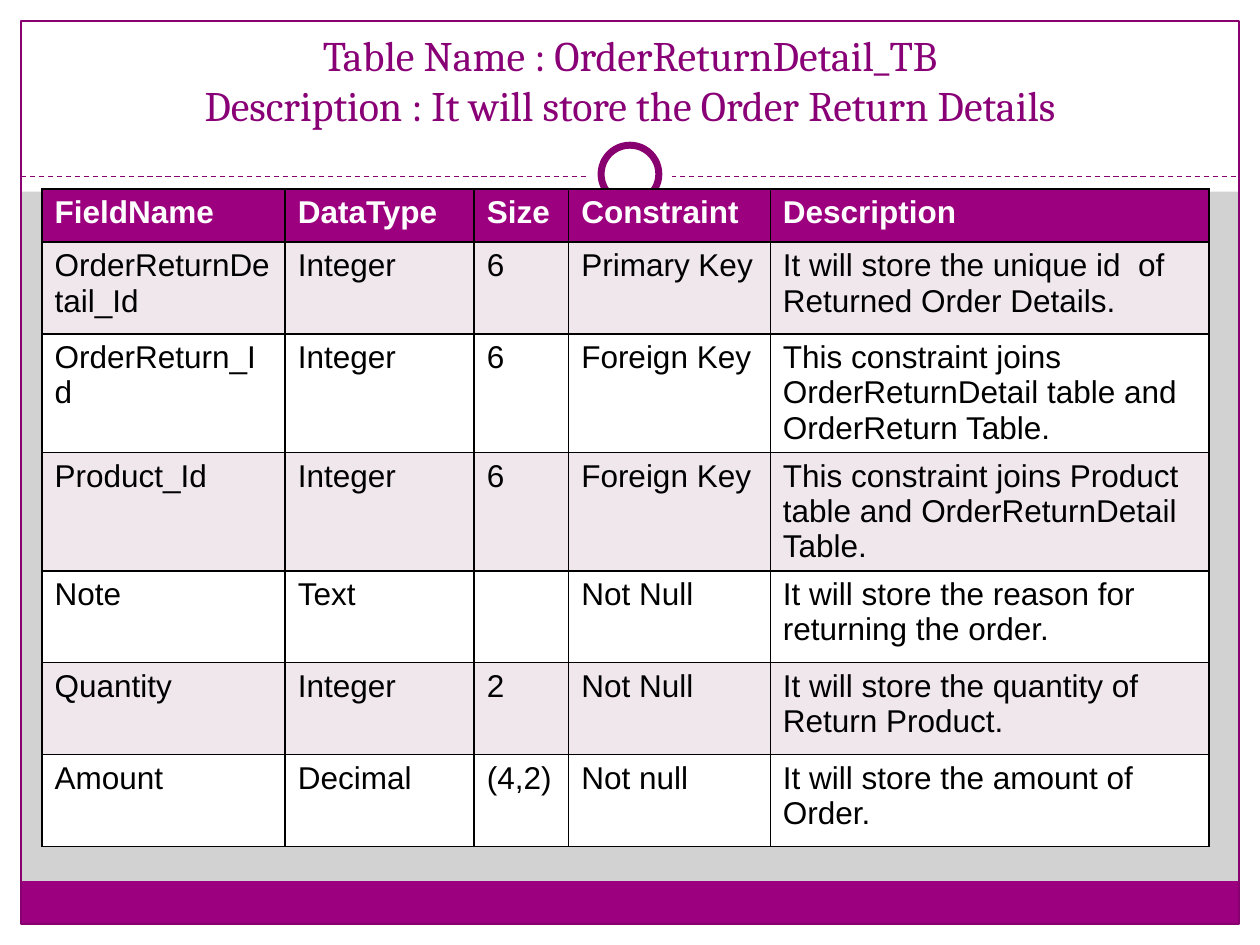
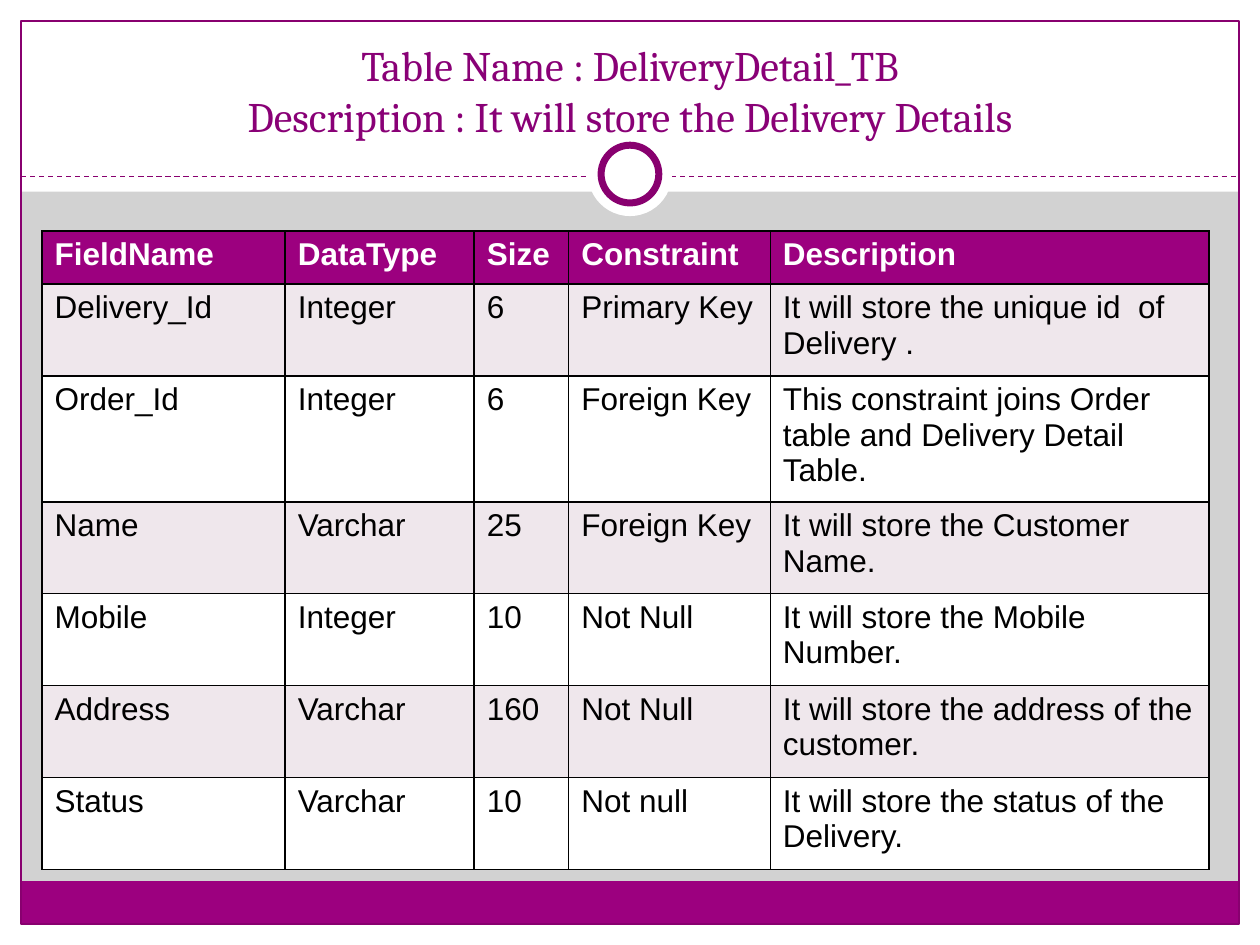
from lxml.etree import SubElement
from pptx import Presentation
from pptx.dml.color import RGBColor
from pptx.enum.dml import MSO_LINE
from pptx.enum.shapes import MSO_CONNECTOR, MSO_SHAPE
from pptx.enum.text import MSO_ANCHOR, MSO_AUTO_SIZE, PP_ALIGN
from pptx.oxml.ns import qn
from pptx.util import Pt

WIDTH, HEIGHT, MARGIN = 720, 540, 12
PURPLE, DARK_PURPLE, TITLE_PURPLE = "9C007F", "88006F", "890076"
WHITE, BLACK, GREY, PALE = "FFFFFF", "000000", "D2D2D2", "EFE7EC"
HEADER = ("FieldName", "DataType", "Size", "Constraint", "Description")
COLUMN_WIDTHS = (139, 108, 54, 115.2, 250.8)
HEADER_HEIGHT, ROW_HEIGHT, TALL_ROW_HEIGHT = 30.3, 52.5, 72

TABLES = (
    {
        "title": "Table Name : OrderReturnDetail_TB\v"
                 "Description : It will store the Order Return Details",
        "title_top": 18,
        "table_top": 108,
        "tall_rows": (),
        "fields": (
            ("OrderReturnDetail_Id", "Integer", "6", "Primary Key",
             "It will store the unique id  of Returned Order Details."),
            ("OrderReturn_Id", "Integer", "6", "Foreign Key",
             "This constraint joins OrderReturnDetail table and OrderReturn Table."),
            ("Product_Id", "Integer", "6", "Foreign Key",
             "This constraint joins Product table and OrderReturnDetail Table."),
            ("Note", "Text", "", "Not Null",
             "It will store the reason for returning the order."),
            ("Quantity", "Integer", "2", "Not Null",
             "It will store the quantity of Return Product."),
            ("Amount", "Decimal", "(4,2)", "Not null",
             "It will store the amount of Order."),
        ),
    },
    {
        "title": "Table Name : DeliveryDetail_TB\v"
                 "Description : It will store the Delivery Details",
        "title_top": 24,
        "table_top": 132,
        "tall_rows": (2,),
        "fields": (
            ("Delivery_Id", "Integer", "6", "Primary Key",
             "It will store the unique id  of Delivery ."),
            ("Order_Id", "Integer", "6", "Foreign Key",
             "This constraint joins Order table and Delivery Detail Table."),
            ("Name", "Varchar", "25", "Foreign Key",
             "It will store the Customer Name."),
            ("Mobile", "Integer", "10", "Not Null",
             "It will store the Mobile Number."),
            ("Address", "Varchar", "160", "Not Null",
             "It will store the address of the customer."),
            ("Status", "Varchar", "10", "Not null",
             "It will store the status of the Delivery."),
        ),
    },
)


def color(hex_code):
    """Turn a hex string into a colour."""
    return RGBColor.from_string(hex_code)


def set_font(paragraph, name, size, hex_code, bold=False):
    """Format all the text of a paragraph."""
    font = paragraph.font
    font.name, font.size, font.bold = name, Pt(size), bold
    font.color.rgb = color(hex_code)


def add_part(slide, kind, box, fill=None, line=None, weight=0.75):
    """Add a flat preset shape; box is left, top, width, height."""
    part = slide.shapes.add_shape(kind, *map(Pt, box))
    part.shadow.inherit = False
    if fill:
        part.fill.solid()
        part.fill.fore_color.rgb = color(fill)
    else:
        part.fill.background()
    if line:
        part.line.color.rgb = color(line)
        part.line.width = Pt(weight)
    else:
        part.line.fill.background()


def add_ring(slide, center_x, center_y):
    """Draw the ring on its white disc around a centre."""
    for diameter, line in ((48, None), (33, DARK_PURPLE)):
        box = (center_x - diameter / 2, center_y - diameter / 2, diameter, diameter)
        add_part(slide, MSO_SHAPE.OVAL, box, WHITE, line, 4)


def add_frame(slide, width, height):
    """Draw the white margins, footer band, border, divider and ring."""
    slide.background.fill.solid()
    slide.background.fill.fore_color.rgb = color(GREY)
    right, bottom = width - MARGIN, height - MARGIN
    inner_width = width - 2 * MARGIN
    margins = (
        (0, bottom, width, MARGIN),
        (0, 0, width, 109.5),
        (0, 0, MARGIN, height),
        (right, 0, MARGIN, height),
    )
    for box in margins:
        add_part(slide, MSO_SHAPE.RECTANGLE, box, WHITE)
    add_part(slide, MSO_SHAPE.RECTANGLE,
             (MARGIN - 0.5, bottom - 24.5, inner_width, 24.5), PURPLE)
    add_part(slide, MSO_SHAPE.RECTANGLE,
             (MARGIN, MARGIN, inner_width, height - 2 * MARGIN), line=DARK_PURPLE)
    divider = slide.shapes.add_connector(
        MSO_CONNECTOR.STRAIGHT, Pt(MARGIN), Pt(100.8), Pt(right), Pt(100.8))
    divider.line.color.rgb = color(DARK_PURPLE)
    divider.line.width = Pt(0.75)
    divider.line.dash_style = MSO_LINE.DASH
    SubElement(divider.element.spPr, qn("a:effectLst"))
    add_ring(slide, width / 2, 99.5)


def add_title(slide, text, left, top, width, height):
    """Fill the title placeholder and bring it in front of the frame."""
    title = slide.shapes.title
    title.left, title.top, title.width, title.height = map(Pt, (left, top, width, height))
    frame = title.text_frame
    frame.text = text
    frame.word_wrap = True
    frame.auto_size = MSO_AUTO_SIZE.NONE
    frame.vertical_anchor = MSO_ANCHOR.BOTTOM
    heading = frame.paragraphs[0]
    heading.alignment = PP_ALIGN.CENTER
    set_font(heading, "Cambria", 24, TITLE_PURPLE)
    title.element.getparent().append(title.element)


def set_borders(cell):
    """Give a cell thin black borders on every side."""
    properties = cell._tc.get_or_add_tcPr()
    for index, side in enumerate(("lnL", "lnR", "lnT", "lnB")):
        border = properties.makeelement(qn(f"a:{side}"), {"w": str(Pt(1))})
        fill = SubElement(border, qn("a:solidFill"))
        SubElement(fill, qn("a:srgbClr"), val=BLACK)
        properties.insert(index, border)


def add_field_table(slide, fields, tall_rows, left, top):
    """Draw the table of fields with its header and striped rows."""
    rows = (HEADER, *fields)
    heights = [HEADER_HEIGHT] + [
        TALL_ROW_HEIGHT if number in tall_rows else ROW_HEIGHT
        for number in range(1, len(rows))]
    table = slide.shapes.add_table(
        len(rows), len(HEADER), Pt(left), Pt(top),
        Pt(sum(COLUMN_WIDTHS)), Pt(sum(heights))).table
    table.horz_banding = False
    for column, width in zip(table.columns, COLUMN_WIDTHS):
        column.width = Pt(width)
    for number, values in enumerate(rows):
        table.rows[number].height = Pt(heights[number])
        is_header = number == 0
        stripe = PURPLE if is_header else PALE if number % 2 else WHITE
        for position, value in enumerate(values):
            cell = table.cell(number, position)
            cell.text = value
            cell.fill.solid()
            cell.fill.fore_color.rgb = color(stripe)
            set_font(cell.text_frame.paragraphs[0], "Arial", 18,
                     WHITE if is_header else BLACK, is_header)
            set_borders(cell)


def add_table_slide(presentation, content):
    """Add one slide describing a database table."""
    slide = presentation.slides.add_slide(presentation.slide_layouts[5])
    add_frame(slide, WIDTH, HEIGHT)
    add_title(slide, content["title"], 24, content["title_top"], 672, 60)
    add_field_table(slide, content["fields"], content["tall_rows"],
                    24, content["table_top"])


def main():
    """Build and save the presentation."""
    presentation = Presentation()
    presentation.slide_width, presentation.slide_height = Pt(WIDTH), Pt(HEIGHT)
    for content in TABLES:
        add_table_slide(presentation, content)
    presentation.save("out.pptx")


if __name__ == "__main__":
    main()
